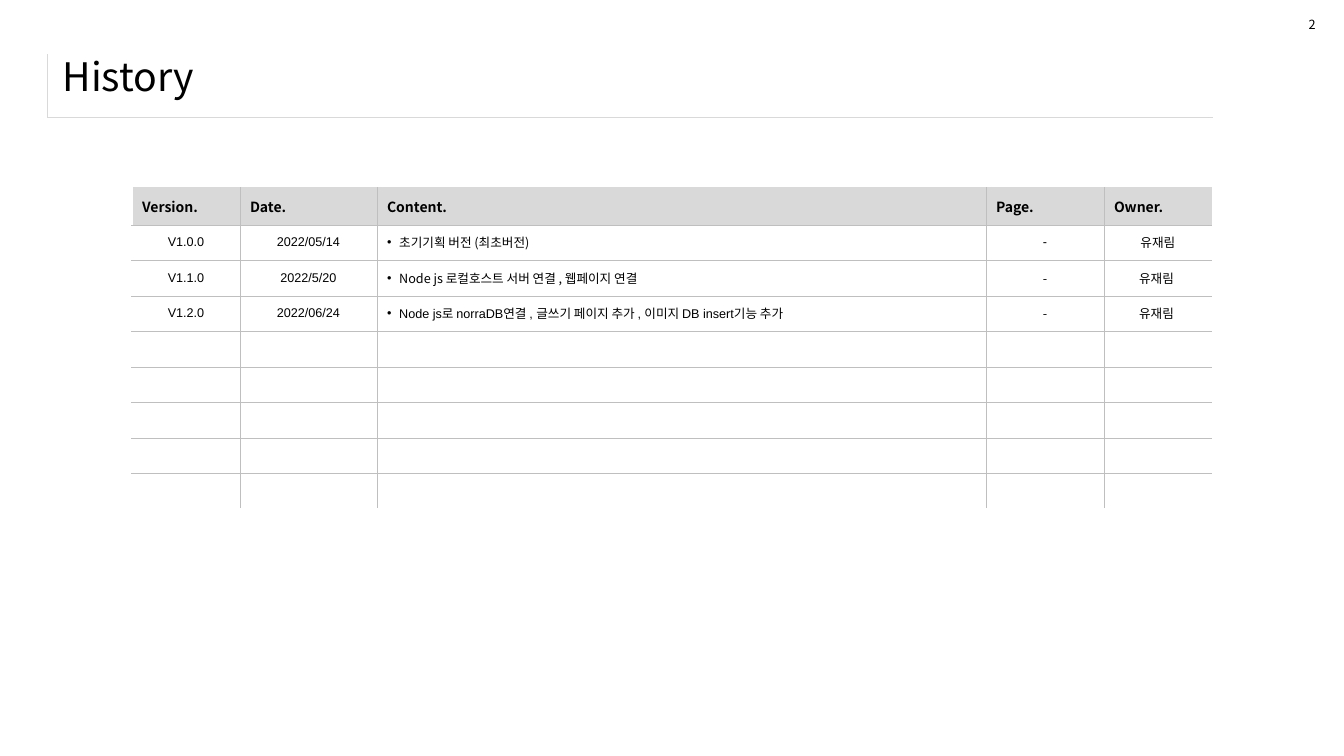
from lxml import etree
from pptx import Presentation
from pptx import util as u
from pptx.dml import color
from pptx.enum import text
from pptx.oxml import ns

SANS = "Noto Sans CJK KR"
ARIAL = "Arial"
BLACK, WHITE, GREY, PALE = "000000", "FFFFFF", "BFBFBF", "D9D9D9"
HEADINGS = ["Version.", "Date.", "Content.", "Page.", "Owner."]
COLUMN_WIDTHS = [1.07, 1.36, 6.04, 1.17, 1.07]
HEADER_HEIGHT, TABLE_HEIGHT, ENTRY_ROWS = 0.37, 3.19, 8
CONTENT_COLUMN = 2
ENTRIES = [
    [("V1.0.0", ARIAL), ("2022/05/14", ARIAL),
     ("초기기획 버전 (최초버전)", SANS), ("-", ARIAL), ("유재림", SANS)],
    [("V1.1.0", ARIAL), ("2022/5/20", ARIAL),
     ("Node js 로컬호스트 서버 연결 , 웹페이지 연결", SANS), ("-", SANS), ("유재림 ", SANS)],
    [("V1.2.0", ARIAL), ("2022/06/24", ARIAL),
     ("Node js로 norraDB연결 , 글쓰기 페이지 추가 , 이미지 DB insert기능 추가", ARIAL),
     ("-", SANS), ("유재림 ", SANS)],
]


def rgb(value):
    return color.RGBColor.from_string(value)


def add_span(para, words, size, font=SANS, bold=False):
    span = para.add_run()
    span.text = words
    span.font.size = u.Pt(size)
    span.font.name = font
    span.font.bold = bold
    span.font.color.rgb = rgb(BLACK)
    east_asian = etree.SubElement(span.font._element, ns.qn("a:ea"))
    east_asian.set("typeface", SANS)


def add_bullet(para):
    properties = para._p.get_or_add_pPr()
    properties.set("marL", str(u.Inches(0.12)))
    properties.set("indent", str(u.Inches(-0.12)))
    etree.SubElement(properties, ns.qn("a:buFont")).set("typeface", ARIAL)
    etree.SubElement(properties, ns.qn("a:buChar")).set("char", "•")


def set_borders(cell, **sides):
    properties = cell._tc.get_or_add_tcPr()
    for side in "LRTB":
        line = etree.SubElement(properties, ns.qn(f"a:ln{side}"))
        if side not in sides:
            etree.SubElement(line, ns.qn("a:noFill"))
            continue
        shade, width = sides[side]
        line.set("w", str(u.Pt(width)))
        fill = etree.SubElement(line, ns.qn("a:solidFill"))
        etree.SubElement(fill, ns.qn("a:srgbClr")).set("val", shade)


def set_fill(cell, shade=None):
    if shade:
        cell.fill.solid()
        cell.fill.fore_color.rgb = rgb(shade)
    else:
        cell.fill.background()


def add_plain_table(page, left, top, widths, heights):
    frame = page.shapes.add_table(
        len(heights), len(widths), u.Inches(left), u.Inches(top),
        u.Inches(sum(widths)), u.Inches(sum(heights)))
    table = frame.table
    table.first_row = False
    table.horz_banding = False
    for column, width in zip(table.columns, widths):
        column.width = u.Inches(width)
    for row, height in zip(table.rows, heights):
        row.height = u.Inches(height)
    return table


def add_title_rule(page):
    cell = add_plain_table(page, 0.47, 0.54, [11.56], [0.62]).cell(0, 0)
    set_borders(cell, L=(PALE, 0.25), B=(PALE, 0.25))
    set_fill(cell)


def place_title(page, words):
    title = page.shapes.title
    title.left, title.top = u.Inches(0.52), u.Inches(0.44)
    title.width, title.height = u.Inches(12.49), u.Inches(0.63)
    title.text_frame.vertical_anchor = text.MSO_ANCHOR.MIDDLE
    para = title.text_frame.paragraphs[0]
    para.alignment = text.PP_ALIGN.LEFT
    add_span(para, words, 28)


def history_borders(row, column):
    thin, blank = (GREY, 0.25), (WHITE, 1)
    sides = {"L": thin if column else blank,
             "B": blank if row == ENTRY_ROWS else thin}
    if row:
        sides["T"] = thin
    if column < len(HEADINGS) - 1:
        sides["R"] = thin
    return sides


def fill_entry(para, column, words, font):
    if not words:
        para._p.get_or_add_endParaRPr().set("sz", "900")
        return
    if column == CONTENT_COLUMN:
        add_bullet(para)
    else:
        para.alignment = text.PP_ALIGN.CENTER
    add_span(para, words, 9, font)


def add_history(page):
    entry_height = (TABLE_HEIGHT - HEADER_HEIGHT) / ENTRY_ROWS
    heights = [HEADER_HEIGHT] + [entry_height] * ENTRY_ROWS
    table = add_plain_table(page, 1.31, 1.86, COLUMN_WIDTHS, heights)
    unused = [[("", SANS)] * len(HEADINGS)] * (ENTRY_ROWS - len(ENTRIES))
    headings = [(heading, SANS) for heading in HEADINGS]
    for row, values in enumerate([headings] + ENTRIES + unused):
        for column, (words, font) in enumerate(values):
            cell = table.cell(row, column)
            cell.vertical_anchor = text.MSO_ANCHOR.MIDDLE
            set_borders(cell, **history_borders(row, column))
            set_fill(cell, None if row else PALE)
            para = cell.text_frame.paragraphs[0]
            if row:
                fill_entry(para, column, words, font)
            else:
                add_span(para, words, 10, bold=True)


def add_page_number(page, number):
    box = page.shapes.add_textbox(
        u.Inches(12.88), u.Inches(0.12), u.Inches(0.27), u.Inches(0.25))
    box.text_frame.word_wrap = False
    box.text_frame.auto_size = text.MSO_AUTO_SIZE.SHAPE_TO_FIT_TEXT
    add_span(box.text_frame.paragraphs[0], number, 9)


def main():
    deck = Presentation()
    deck.slide_width, deck.slide_height = u.Inches(13.33), u.Inches(7.5)
    page = deck.slides.add_slide(deck.slide_layouts[5])
    add_title_rule(page)
    place_title(page, "History")
    add_history(page)
    add_page_number(page, "2")
    deck.save("out.pptx")


if __name__ == "__main__":
    main()
